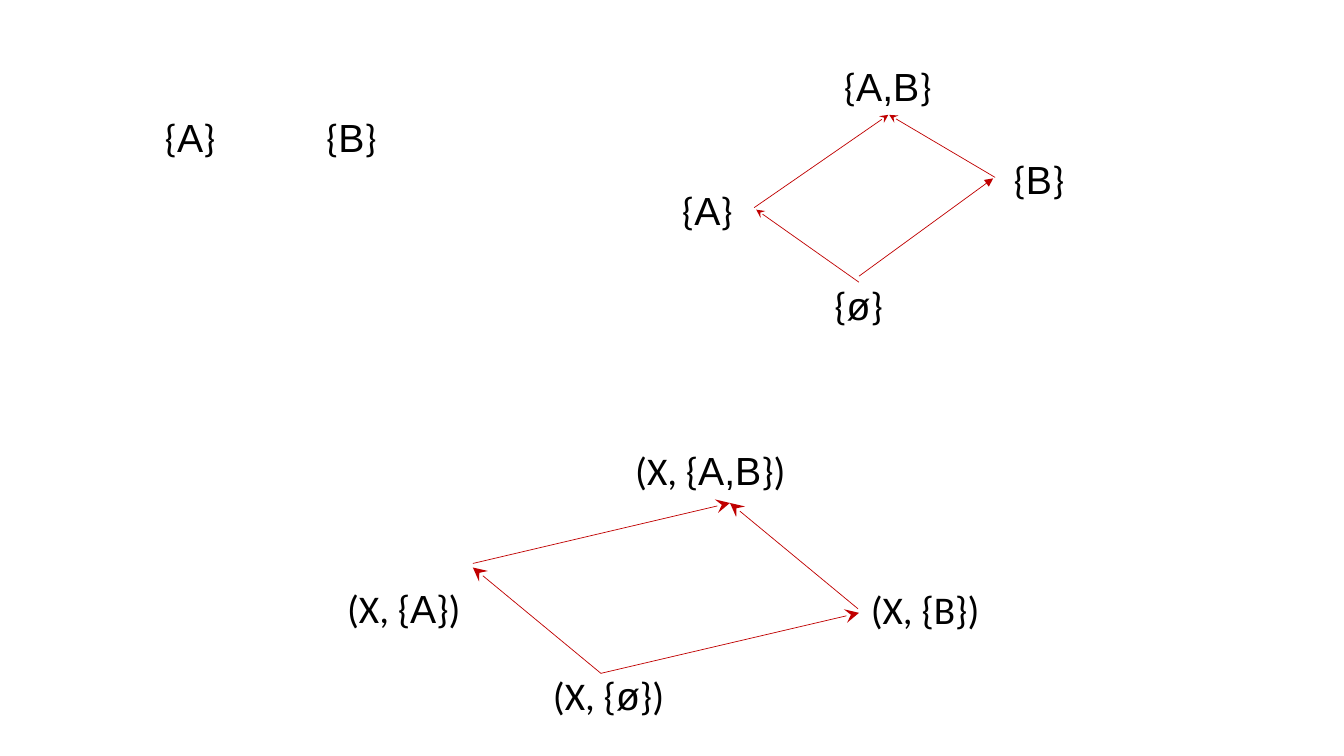
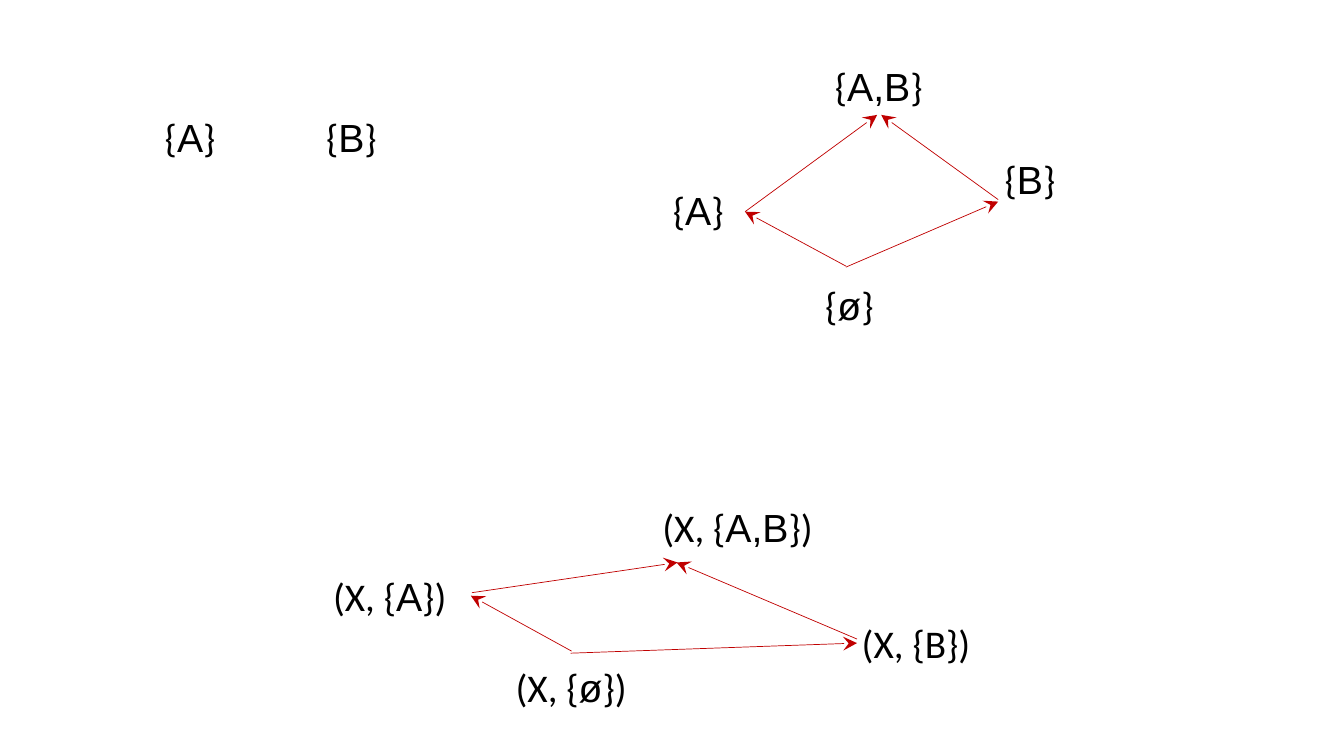
from dataclasses import dataclass
from itertools import cycle

from lxml import etree
from pptx import Presentation, util as u
from pptx.dml.color import RGBColor
from pptx.enum import shapes, text
from pptx.oxml.ns import qn

COLORS = {"ink": "000000", "arrow": "C00000"}
FONTS = ("Calibri", "Arial")
TYPE = {"size": u.Pt(28)}
FRAME = {"word_wrap": True, "auto_size": text.MSO_AUTO_SIZE.SHAPE_TO_FIT_TEXT}
HIGH = 0.57


@dataclass(frozen=True)
class Label:
    """A set name; bars part the runs, whose fonts take turns."""
    words: str
    left: float
    top: float
    wide: float = 1.59


@dataclass(frozen=True)
class Arrow:
    """A line with its head at the second point."""
    start: tuple[float, float]
    end: tuple[float, float]
    head: str = "stealth"
    size: str = "lg"


@dataclass(frozen=True)
class Lattice:
    """Labels and the arrows that order them."""
    labels: tuple[Label, ...]
    arrows: tuple[Arrow, ...]


def assign(item, values: dict) -> None:
    """Set each named attribute of an item."""
    for name, value in values.items():
        setattr(item, name, value)


def write(home, label: Label) -> None:
    """Add one centred label to a shape tree."""
    place = (label.left, label.top, label.wide, HIGH)
    frame = home.add_textbox(*map(u.Inches, place)).text_frame
    assign(frame, FRAME)
    para = frame.paragraphs[0]
    para.alignment = text.PP_ALIGN.CENTER
    for part, font in zip(label.words.split("|"), cycle(FONTS)):
        run = para.add_run()
        run.text = part
        assign(run.font, TYPE | {"name": font})
        run.font.color.rgb = RGBColor.from_string(COLORS["ink"])


def point(home, arrow: Arrow) -> None:
    """Add one thin arrow to a shape tree."""
    ends = map(u.Inches, arrow.start + arrow.end)
    link = home.add_connector(shapes.MSO_CONNECTOR.STRAIGHT, *ends)
    link.line.width = u.Pt(0.5)
    link.line.color.rgb = RGBColor.from_string(COLORS["arrow"])
    tip = etree.SubElement(link.line._get_or_add_ln(), qn("a:tailEnd"))
    for key, value in {"type": arrow.head, "w": arrow.size, "len": arrow.size}.items():
        tip.set(key, value)
    etree.SubElement(link._element.spPr, qn("a:effectLst"))


def draw(deck, lattices: tuple[Lattice, ...]) -> None:
    """Add a slide with the base sets and its grouped lattices."""
    slide = deck.slides.add_slide(deck.slide_layouts[6])
    for label in BASE:
        write(slide.shapes, label)
    for lattice in lattices:
        group = slide.shapes.add_group_shape().shapes
        for label in lattice.labels:
            write(group, label)
        for arrow in lattice.arrows:
            point(group, arrow)


def sets(left: float) -> tuple[Label, ...]:
    """Name the four subsets, with {A} at the given left edge."""
    spots = (("A", 0, 1.8), ("B", 3.29, 1.49), ("A,B", 1.79, 0.57), ("ø", 1.5, 2.74))
    return tuple(Label(f"{{|{name}|}}", left + shift, top) for name, shift, top in spots)


def pairs(*spots: tuple[float, float]) -> tuple[Label, ...]:
    """Name the four pairs at the given left and top edges."""
    names = ("(X, {B})", "(X, {|ø|})", "(X, {|A|})", "(X, {|A,B|})")
    wides = (1.59, 1.59, 1.59, 2.01)
    return tuple(Label(name, *spot, wide) for name, spot, wide in zip(names, spots, wides))


BASE = (Label("{|A|}", 1.09, 1.08), Label("{|B|}", 2.69, 1.08))

SLIDES = (
    (
        Lattice(sets(6.22), (
            Arrow((8.52, 2.8), (7.5, 2.08), size="med"),
            Arrow((9.87, 1.76), (8.82, 1.14), size="med"),
            Arrow((7.48, 2.06), (8.81, 1.14), size="med"),
            Arrow((8.52, 2.74), (9.85, 1.77), "triangle", "med"),
        )),
        Lattice(pairs((8.38, 5.76), (5.24, 6.61), (3.21, 5.75), (6.04, 4.38)), (
            Arrow((5.96, 6.68), (8.52, 6.08)),
            Arrow((5.96, 6.68), (4.69, 5.63)),
            Arrow((4.69, 5.59), (7.24, 4.99)),
            Arrow((8.51, 6.04), (7.24, 4.99)),
        )),
    ),
    (
        Lattice(sets(6.13), (
            Arrow((8.39, 2.64), (7.39, 2.1)),
            Arrow((9.9, 1.98), (8.74, 1.14)),
            Arrow((7.39, 2.1), (8.7, 1.14)),
            Arrow((8.39, 2.65), (9.9, 2.0)),
        )),
        Lattice(pairs((8.29, 6.09), (4.87, 6.53), (3.07, 5.63), (6.31, 4.94)), (
            Arrow((5.67, 6.46), (4.67, 5.91)),
            Arrow((8.5, 6.34), (6.71, 5.58)),
            Arrow((4.68, 5.88), (6.72, 5.58)),
            Arrow((5.66, 6.48), (8.5, 6.38)),
        )),
    ),
)

deck = Presentation()
assign(deck, {"slide_width": u.Inches(13.33), "slide_height": u.Inches(7.5)})
for lattices in SLIDES:
    draw(deck, lattices)
deck.save("out.pptx")
